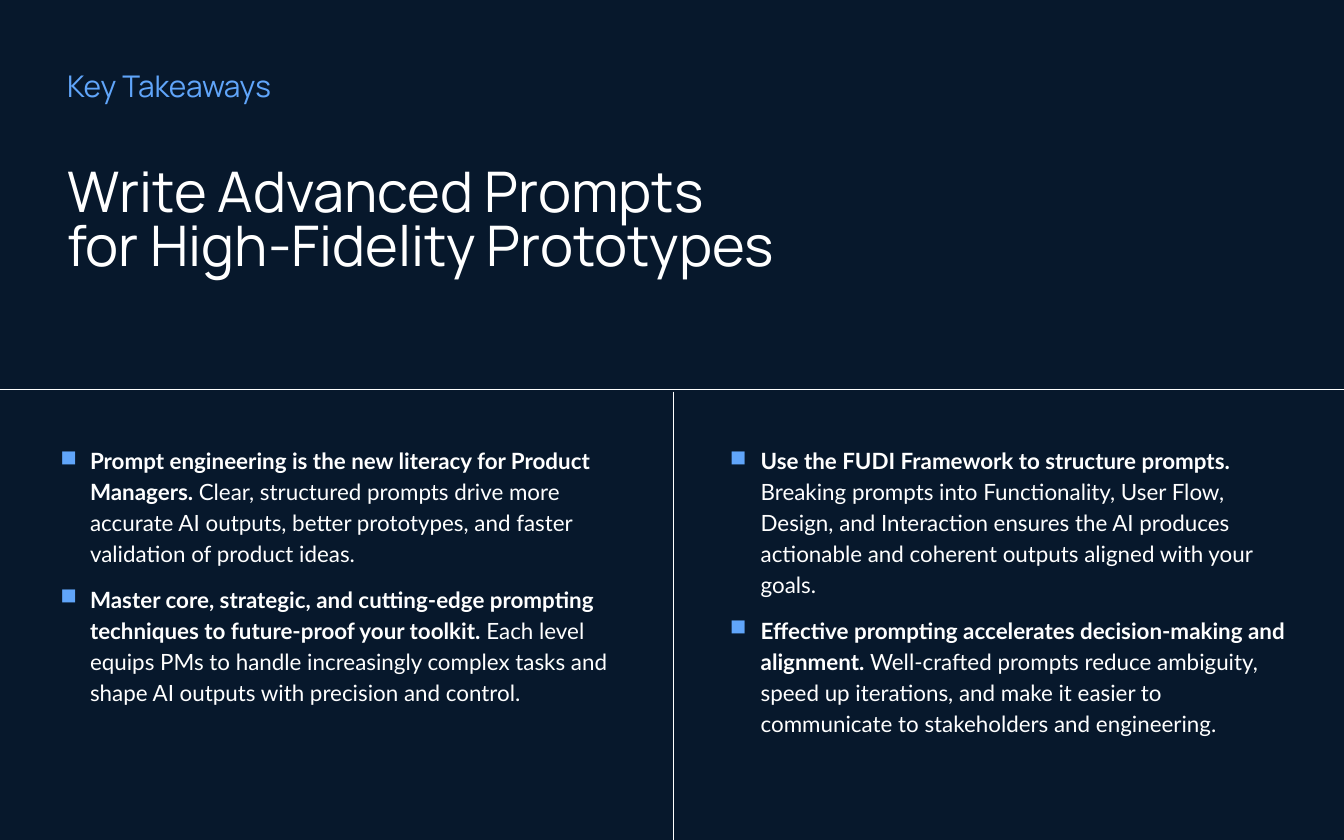
import dataclasses

import lxml.etree
import pptx
import pptx.dml.color
import pptx.enum.shapes
import pptx.enum.text
import pptx.oxml.ns
import pptx.util

Pt = pptx.util.Pt
RGBColor = pptx.dml.color.RGBColor
MSO_ANCHOR = pptx.enum.text.MSO_ANCHOR


@dataclasses.dataclass(frozen=True)
class Theme:
    background: RGBColor = RGBColor(0x07, 0x18, 0x2C)
    text: RGBColor = RGBColor(0xFF, 0xFF, 0xFF)
    accent: RGBColor = RGBColor(0x60, 0xA5, 0xFA)
    heading_font: str = "Manrope"
    body_font: str = "Lato"
    title_size: float = 30
    label_size: float = 16
    body_size: float = 12
    rule_width: float = 0.75


@dataclasses.dataclass(frozen=True)
class Box:
    left: float
    top: float
    width: float
    height: float

    def lengths(self):
        return [Pt(value) for value in dataclasses.astuple(self)]


THEME = Theme()
PAGE_WIDTH, PAGE_HEIGHT = 720, 450
RULE_TOP = 208.8
MIDDLE = 360.72
COLUMN_INSET = 28.8
TEXT_INDENT = 18

LABEL = "Key Takeaways"
TITLE_LINES = ["Write Advanced Prompts", "for High-Fidelity Prototypes"]
LEFT_POINTS = [
    ("Prompt engineering is the new literacy for Product Managers. ",
     "Clear, structured prompts drive more accurate AI outputs, better prototypes, "
     "and faster validation of product ideas."),
    ("Master core, strategic, and cutting-edge prompting techniques to future-proof your toolkit. ",
     "Each level equips PMs to handle increasingly complex tasks and shape AI outputs "
     "with precision and control."),
]
RIGHT_POINTS = [
    ("Use the FUDI Framework to structure prompts. ",
     "Breaking prompts into Functionality, User Flow, Design, and Interaction ensures "
     "the AI produces actionable and coherent outputs aligned with your goals."),
    ("Effective prompting accelerates decision-making and alignment. ",
     "Well-crafted prompts reduce ambiguity, speed up iterations, and make it easier "
     "to communicate to stakeholders and engineering."),
]


def add_span(para, text, font, size, color, bold=False):
    span = para.add_run()
    span.text = text
    span.font.name = font
    span.font.size = Pt(size)
    span.font.color.rgb = color
    span.font.bold = bold


def prepare_frame(shape, inset, anchor):
    frame = shape.text_frame
    frame.word_wrap = True
    frame.auto_size = pptx.enum.text.MSO_AUTO_SIZE.NONE
    frame.vertical_anchor = anchor
    frame.margin_left = frame.margin_right = Pt(inset)
    frame.margin_top = frame.margin_bottom = Pt(inset)
    return frame


def set_bullet(para, hanging):
    qn = pptx.oxml.ns.qn
    properties = para._p.get_or_add_pPr()
    properties.set("marL", str(Pt(TEXT_INDENT)))
    properties.set("indent", str(-Pt(hanging)))
    color = lxml.etree.SubElement(properties, qn("a:buClr"))
    lxml.etree.SubElement(color, qn("a:srgbClr"), val=str(THEME.accent))
    lxml.etree.SubElement(properties, qn("a:buChar"), char="■")


def add_rule(page, start, end):
    rule = page.shapes.add_connector(
        pptx.enum.shapes.MSO_CONNECTOR.STRAIGHT, *[Pt(value) for value in start + end])
    rule.line.color.rgb = THEME.text
    rule.line.width = Pt(THEME.rule_width)
    lxml.etree.SubElement(rule._element.spPr, pptx.oxml.ns.qn("a:effectLst"))


def add_header(page, box):
    label_box = Box(box.left, box.top, 288, 19.44)
    label = page.shapes.add_textbox(*label_box.lengths())
    para = prepare_frame(label, 0, MSO_ANCHOR.MIDDLE).paragraphs[0]
    add_span(para, LABEL, THEME.heading_font, THEME.label_size, THEME.accent)

    title = page.shapes.title
    title_box = Box(box.left, box.top + 54.72, box.width, box.height - 54.72)
    title.left, title.top, title.width, title.height = title_box.lengths()
    para = prepare_frame(title, 0, MSO_ANCHOR.TOP).paragraphs[0]
    para.alignment = pptx.enum.text.PP_ALIGN.LEFT
    para.line_spacing = 0.8
    for index, line in enumerate(TITLE_LINES):
        if index:
            para.add_line_break()
        add_span(para, line, THEME.heading_font, THEME.title_size, THEME.text)


def add_rules(page, box):
    add_rule(page, (box.left, box.top), (box.left + box.width, box.top))
    add_rule(page, (MIDDLE, box.top + 1), (MIDDLE, box.top + box.height))


def add_column(page, box, points, hanging):
    column = page.shapes.add_textbox(*box.lengths())
    frame = prepare_frame(column, COLUMN_INSET, MSO_ANCHOR.TOP)
    for index, (lead, detail) in enumerate(points):
        para = frame.add_paragraph() if index else frame.paragraphs[0]
        set_bullet(para, hanging)
        para.line_spacing = 1.15
        para.space_before = Pt(8 if index else 0)
        add_span(para, lead, THEME.body_font, THEME.body_size, THEME.text, bold=True)
        add_span(para, detail, THEME.body_font, THEME.body_size, THEME.text)


def add_takeaways(deck):
    page = deck.slides.add_slide(deck.slide_layouts[5])
    page.background.fill.solid()
    page.background.fill.fore_color.rgb = THEME.background
    lower_height = PAGE_HEIGHT - RULE_TOP
    add_header(page, Box(36, 36, 649.44, 112.8))
    add_rules(page, Box(0, RULE_TOP, PAGE_WIDTH, lower_height))
    add_column(page, Box(1.44, RULE_TOP, 359.28, 225.36), LEFT_POINTS, 15.84)
    add_column(page, Box(MIDDLE, RULE_TOP, 359.28, 214.56), RIGHT_POINTS, 16.56)


def main():
    deck = pptx.Presentation()
    deck.slide_width, deck.slide_height = Pt(PAGE_WIDTH), Pt(PAGE_HEIGHT)
    add_takeaways(deck)
    deck.save("out.pptx")


if __name__ == "__main__":
    main()
